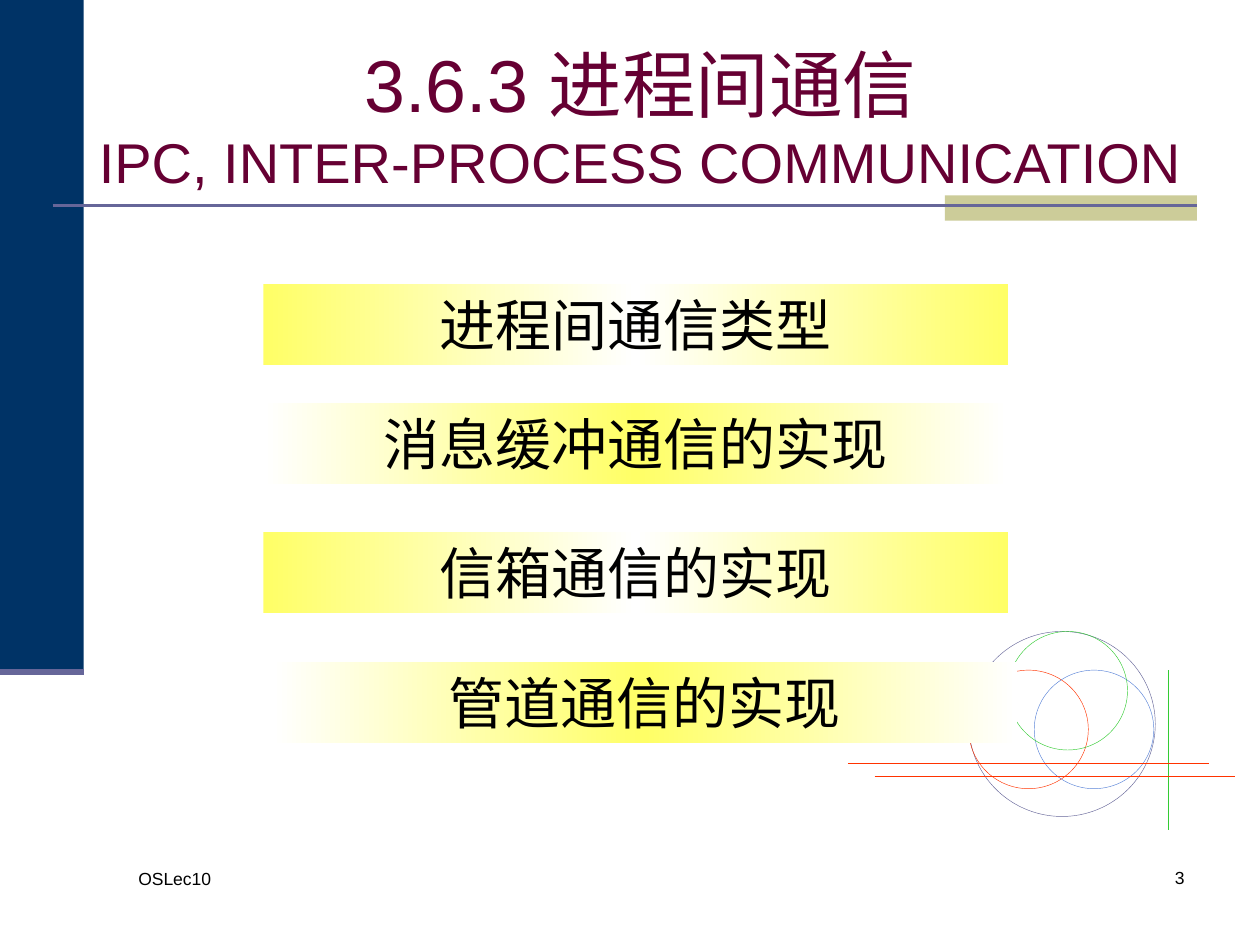
import copy

import pptx
import pptx.dml.color
import pptx.enum.dml
import pptx.enum.shapes
import pptx.enum.text
import pptx.oxml
import pptx.util

Cm, Pt = pptx.util.Cm, pptx.util.Pt
RGB = pptx.dml.color.RGBColor.from_string
ALIGN = pptx.enum.text.PP_ALIGN
ANCHOR = pptx.enum.text.MSO_ANCHOR
SHAPE = pptx.enum.shapes.MSO_SHAPE

THEME = {
    "font": "Arial", "text": "000000", "title": "660033",
    "navy": "003366", "khaki": "CCCC99", "violet": "666699",
    "green": "33CC33", "red": "FF3300", "blue": "5A84D8",
    "yellow": "FFFF66", "white": "FFFFFF",
    "title_size": 42, "subtitle_size": 32, "topic_size": 32, "footer_size": 10,
    "rule": 1.5, "band_rule": 3.5, "hairline": 0.25,
}

# Content; boxes are left, top, width, height in cm
TITLE = [("3.6.3 进程间通信", "title_size"),
         ("IPC, INTER-PROCESS COMMUNICATION", "subtitle_size")]
TITLE_BOX = (1.69, 0.76, 22.44, 3.18)
TOPICS = [  # text, left, top
    ("进程间通信类型", 5.31, 5.72),
    ("消息缓冲通信的实现", 5.31, 8.13),
    ("信箱通信的实现", 5.31, 10.72),
    ("管道通信的实现", 5.49, 13.34),
]
TOPIC_SIZE = (15.01, 1.63)
FOOTERS = [
    ("OSLec10", (2.54, 17.37, 5.51, 1.27), ALIGN.LEFT),
    ("3", (18.85, 17.35, 5.28, 1.27), ALIGN.RIGHT),
]
BANDS = [("navy", (0, 0, 1.69, 13.55)), ("khaki", (19.05, 3.94, 5.08, 0.51))]
RULES = [  # colour, weight, x1, y1, x2, y2
    ("violet", "rule", 1.06, 4.14, 24.13, 4.14),
    ("violet", "band_rule", 0, 13.55, 1.69, 13.55),
]
CIRCLES = [
    ("violet", (19.53, 12.73, 3.76, 3.73)),
    ("red", (19.53, 13.51, 2.41, 2.39)),
    ("blue", (20.85, 13.51, 2.41, 2.39)),
    ("green", (20.32, 12.73, 2.41, 2.39)),
]
UPRIGHT = ("green", "hairline", 23.55, 13.51, 23.55, 16.74)
DOTTED = ("red", "hairline", 17.09, 15.39, 24.36, 15.39)
BASELINE = ("red", "hairline", 17.63, 15.65, 24.89, 15.65)


def lengths(box):
    return [Cm(value) for value in box]


def apply(target, values):
    for name, value in values.items():
        setattr(target, name, value)


def write(frame, lines, align, anchor, color="text"):
    apply(frame, {
        "word_wrap": True, "vertical_anchor": anchor,
        "auto_size": pptx.enum.text.MSO_AUTO_SIZE.NONE,
        "margin_left": Cm(0.25), "margin_right": Cm(0.25),
        "margin_top": Cm(0.13), "margin_bottom": Cm(0.13),
    })
    paragraph = frame.paragraphs[0]
    paragraph.alignment = align
    for index, (text, size) in enumerate(lines):
        if index:
            paragraph.add_line_break()
        run = paragraph.add_run()
        run.text = text
        apply(run.font, {"name": THEME["font"], "size": Pt(THEME[size])})
        run.font.color.rgb = RGB(THEME[color])


def add_plain(shapes, kind, box):
    shape = shapes.add_shape(kind, *lengths(box))
    shape.shadow.inherit = False
    shape.line.fill.background()
    return shape


def add_line(shapes, color, weight, *ends, dash=None):
    line = shapes.add_connector(pptx.enum.shapes.MSO_CONNECTOR.STRAIGHT, *lengths(ends))
    line.line.color.rgb = RGB(THEME[color])
    apply(line.line, {"width": Pt(THEME[weight]), "dash_style": dash})
    line._element.spPr.append(pptx.oxml.parse_xml(
        '<a:effectLst xmlns:a="http://schemas.openxmlformats.org/drawingml/2006/main"/>'))


def fill_mirrored(fill, edge, middle):
    fill.gradient()
    fill.gradient_angle = 0
    last = fill.gradient_stops[1]._gs
    last.addnext(copy.deepcopy(last))
    for stop, position, color in zip(fill.gradient_stops, (0, 0.5, 1), (edge, middle, edge)):
        stop.position = position
        stop.color.rgb = RGB(THEME[color])


def main():
    deck = pptx.Presentation()
    deck.slide_width, deck.slide_height = Cm(25.4), Cm(19.05)
    slide = deck.slides.add_slide(deck.slide_layouts[5])
    shapes = slide.shapes

    # Frame
    for color, box in BANDS:
        band = add_plain(shapes, SHAPE.RECTANGLE, box)
        band.fill.solid()
        band.fill.fore_color.rgb = RGB(THEME[color])
    for rule in RULES:
        add_line(shapes, *rule)

    # Footer and title
    for text, box, align in FOOTERS:
        footer = shapes.add_textbox(*lengths(box))
        write(footer.text_frame, [(text, "footer_size")], align, ANCHOR.TOP)
    title = shapes.title
    apply(title, dict(zip(("left", "top", "width", "height"), lengths(TITLE_BOX))))
    write(title.text_frame, TITLE, ALIGN.CENTER, ANCHOR.MIDDLE, "title")

    # Circle ornament
    add_line(shapes, *UPRIGHT)
    for color, box in CIRCLES:
        circle = add_plain(shapes, SHAPE.OVAL, box)
        circle.fill.background()
        circle.line.color.rgb = RGB(THEME[color])
        circle.line.width = Pt(THEME["hairline"])
    add_line(shapes, *DOTTED, dash=pptx.enum.dml.MSO_LINE.ROUND_DOT)
    add_line(shapes, *BASELINE)

    # Topic bars, alternating bright edges and bright centre
    for index, (text, left, top) in enumerate(TOPICS):
        bar = add_plain(shapes, SHAPE.RECTANGLE, (left, top, *TOPIC_SIZE))
        colors = ("white", "yellow") if index % 2 else ("yellow", "white")
        fill_mirrored(bar.fill, *colors)
        write(bar.text_frame, [(text, "topic_size")], ALIGN.CENTER, ANCHOR.TOP)

    deck.save("out.pptx")


if __name__ == "__main__":
    main()
